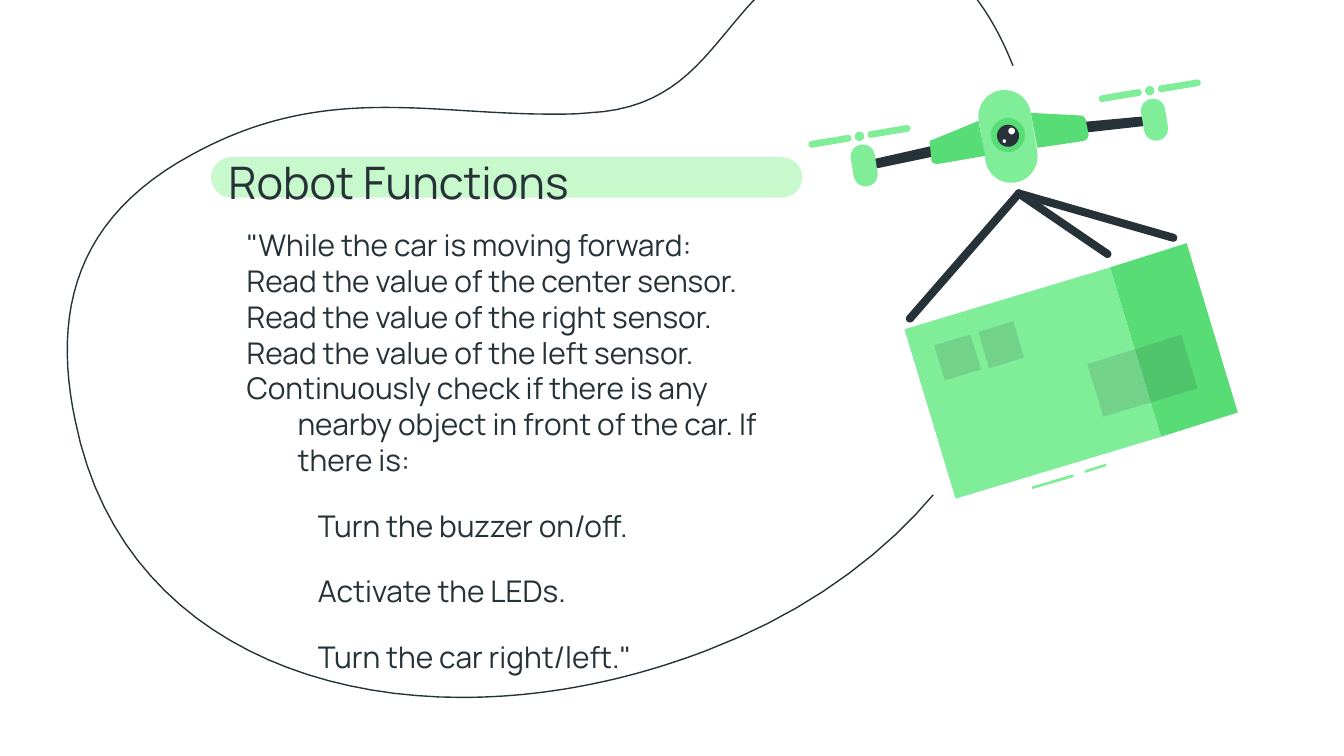
from dataclasses import dataclass
from math import atan2, degrees, hypot

from lxml import etree
from pptx import Presentation
from pptx import util as u
from pptx.dml.color import RGBColor
from pptx.enum import shapes, text
from pptx.oxml.ns import qn

CELL = u.Inches(0.1)
COLS, ROWS = 100, 56.25
STEPS = 24  # segments per curve
Point = tuple[float, float]


@dataclass(frozen=True)
class Theme:
    font: str = "Manrope"
    ink: str = "263238"
    shade: str = "1A2327"
    light: str = "80ED99"
    deep: str = "58DD76"
    pale: str = "C7F9CC"
    white: str = "FFFFFF"
    title: float = 24
    body: float = 16
    line: float = 19.2
    gap: float = 16
    stroke: float = 0.75


@dataclass(frozen=True)
class Bar:
    """Round-ended bar; its ends are the centres of the caps."""
    start: Point
    end: Point
    width: float
    color: str


@dataclass(frozen=True)
class Disc:
    center: Point
    radius: float
    color: str


@dataclass(frozen=True)
class Patch:
    """Outline of points (x, y) and curves (x1, y1, x2, y2, x, y)."""
    nodes: list[tuple[float, ...]]
    color: str
    alpha: int = 100


@dataclass(frozen=True)
class Line:
    words: str
    level: int = 0


T = Theme()

TRAIL = [
    (65.1, -4.4), (63.6, -4.4, 61.9, -4, 60.1, -3.1),
    (53.4, 0.4, 52.9, 8, 43.8, 8.4), (42.9, 8.5, 42, 8.5, 41.1, 8.5),
    (36.7, 8.5, 32.7, 8, 28.7, 8), (24, 8, 19.4, 8.7, 14.3, 11.5),
    (5.6, 16.2, 3.9, 23.2, 5.6, 31.3), (8.4, 45.3, 20.5, 51.9, 34.4, 51.9),
    (40.4, 51.9, 46.6, 50.7, 52.6, 48.4), (71.7, 41.1, 80.5, 24.2, 76.2, 7.4),
    (74.8, 2.3, 71.2, -4.4, 65.1, -4.4),
]
CRATE = [
    Patch([(79.8, 35.3), (76.8, 36.2), (76.8, 36.4), (79.9, 35.5)], T.light),
    Patch([(82.3, 34.5), (80.7, 35), (80.7, 35.2), (82.3, 34.7)], T.light),
    Patch([(82.6, 19.9), (67.3, 24.5), (71.1, 37.1), (86.4, 32.5)], T.light),
    Patch([(88.3, 18.1), (82.6, 19.9), (86.4, 32.5), (92.1, 30.7)], T.deep),
    Patch([(87.9, 24.9), (80.9, 27.1), (82.1, 31), (89.1, 28.9)], T.shade, 13),
    Patch([(72.2, 24.9), (69.5, 25.7), (70.3, 28.3), (73, 27.5)], T.shade, 13),
    Patch([(75.4, 23.9), (72.8, 24.7), (73.6, 27.4), (76.2, 26.6)], T.shade, 13),
]
HULL = [
    Bar((74.75, 8.65), (75.25, 11.65), 3.9, T.light),
    Disc((75, 10.05), 1.27, T.deep),
    Disc((75, 10.1), 0.82, T.ink),
    Disc((75.27, 9.75), 0.25, T.white),
    Disc((74.73, 10.5), 0.13, T.white),
]
ARMS = [
    Patch([(85.8, 8.6), (80.4, 9.1), (80.5, 9.9), (85.9, 9.3)], T.ink),
    Patch([(69.6, 10.8), (64.3, 12), (64.4, 12.7), (69.7, 11.6)], T.ink),
]
WINGS = [
    Patch([(76.7, 8.4), (77.2, 11), (80.6, 10.5), (80.9, 10.4, 81, 10.2, 81, 10),
           (80.8, 9), (80.8, 8.8, 80.6, 8.6, 80.4, 8.6)], T.deep),
    Patch([(72.8, 9), (69.4, 10.4), (69.2, 10.4, 69.1, 10.6, 69.2, 10.8),
           (69.3, 11.9), (69.3, 12.1, 69.5, 12.2, 69.8, 12.2), (73.3, 11.6)], T.deep),
]
HUBS = [(85.55, 6.75), (63.95, 10.15)]
HOOK = (75.8, 14.4)
TIES = [(87.3, 17.7), (82.4, 18.9), (67.7, 23.7)]
LINES = [
    Line('"While the car is moving forward:'),
    Line("Read the value of the center sensor."),
    Line("Read the value of the right sensor."),
    Line("Read the value of the left sensor."),
    Line("Continuously check if there is any nearby object in front of the car. If there is:"),
    Line("Turn the buzzer on/off.", 1),
    Line("Activate the LEDs.", 1),
    Line('Turn the car right/left."', 1),
]


def grid(*cells: float) -> list[int]:
    return [round(c * CELL) for c in cells]


def paint(shape, color: str, alpha: int = 100):
    shape.shadow.inherit = False
    shape.fill.solid()
    shape.fill.fore_color.rgb = RGBColor.from_string(color)
    shape.line.fill.background()
    if alpha < 100:
        tint = shape.element.spPr.find(".//" + qn("a:srgbClr"))
        etree.SubElement(tint, qn("a:alpha")).set("val", str(alpha * 1000))
    return shape


def trace(nodes: list[tuple[float, ...]]) -> list[Point]:
    """Turn points and cubic curves into a run of points."""
    dots = [nodes[0]]
    for node in nodes[1:]:
        if len(node) == 2:
            dots.append(node)
            continue
        ends = [dots[-1], node[:2], node[2:4], node[4:]]
        for step in range(1, STEPS + 1):
            t = step / STEPS
            share = ((1 - t) ** 3, 3 * t * (1 - t) ** 2, 3 * t * t * (1 - t), t ** 3)
            dots.append(tuple(sum(s * e[axis] for s, e in zip(share, ends))
                              for axis in (0, 1)))
    return dots


def outline(host, nodes: list[tuple[float, ...]]):
    first, *rest = [grid(*dot) for dot in trace(nodes)]
    pen = host.build_freeform(*first, scale=1.0)
    pen.add_line_segments(rest, close=True)
    return pen.convert_to_shape()


def draw(host, part: Bar | Disc | Patch) -> None:
    if isinstance(part, Patch):
        paint(outline(host, part.nodes), part.color, part.alpha)
    elif isinstance(part, Disc):
        (x, y), r = part.center, part.radius
        paint(host.add_shape(shapes.MSO_SHAPE.OVAL, *grid(x - r, y - r, 2 * r, 2 * r)),
              part.color)
    else:
        (x1, y1), (x2, y2), wide = part.start, part.end, part.width
        long = hypot(x2 - x1, y2 - y1) + wide
        box = grid((x1 + x2 - long) / 2, (y1 + y2 - wide) / 2, long, wide)
        bar = paint(host.add_shape(shapes.MSO_SHAPE.ROUNDED_RECTANGLE, *box), part.color)
        bar.adjustments[0] = 0.5
        bar.rotation = degrees(atan2(y2 - y1, x2 - x1))


def rotor(hub: Point) -> list[Bar | Disc]:
    x, y = hub
    blades = [Bar((x + s * 0.85, y - s * 0.14), (x + s * 3.55, y - s * 0.59), 0.5, T.light)
              for s in (-1, 1)]
    motor = Bar((x + 0.24, y + 1.5), (x + 0.46, y + 2.82), 1.8, T.light)
    return [motor, Disc(hub, 0.35, T.light), *blades]


def write(para, words: str, size: float) -> None:
    run = para.add_run()
    run.text = words
    run.font.name, run.font.size = T.font, u.Pt(size)
    run.font.color.rgb = RGBColor.from_string(T.ink)


def head(slide) -> None:
    title = slide.shapes.title
    title.left, title.top, title.width, title.height = grid(16, 10.5, 42.3, 7.9)
    frame = title.text_frame
    frame.auto_size = text.MSO_AUTO_SIZE.NONE
    frame.vertical_anchor = text.MSO_ANCHOR.TOP
    frame.margin_left = frame.margin_top = frame.margin_right = frame.margin_bottom = CELL
    frame.paragraphs[0].alignment = text.PP_ALIGN.LEFT
    write(frame.paragraphs[0], "Robot Functions", T.title)

    trail = outline(slide.shapes, TRAIL)
    trail.shadow.inherit = False
    trail.fill.background()
    trail.line.color.rgb = RGBColor.from_string(T.ink)
    trail.line.width = u.Pt(T.stroke)
    band = paint(slide.shapes.add_shape(
        shapes.MSO_SHAPE.ROUNDED_RECTANGLE, *grid(15.7, 11.7, 44, 3)), T.pale)
    band.adjustments[0] = 0.5
    for back in (trail, band):
        title.element.addprevious(back.element)


def body(slide) -> None:
    frame = slide.shapes.add_textbox(*grid(17.15, 8.8, 41.9, 44.5)).text_frame
    frame.word_wrap = True
    frame.margin_left = frame.margin_right = frame.margin_bottom = 0
    frame.margin_top = round(8.08 * CELL)
    for i, line in enumerate(LINES):
        para = frame.add_paragraph() if i else frame.paragraphs[0]
        para.level = line.level
        para.line_spacing = u.Pt(T.line)
        para.space_before = u.Pt(T.gap * line.level)
        left, hang = ((0.5, -0.38), (1, -0.35))[line.level]
        props = para._p.get_or_add_pPr()
        props.set("marL", str(u.Inches(left)))
        props.set("indent", str(u.Inches(hang)))
        write(para, line.words, T.body)


def main() -> None:
    deck = Presentation()
    deck.slide_width, deck.slide_height = grid(COLS, ROWS)
    slide = deck.slides.add_slide(deck.slide_layouts[5])
    head(slide)
    drone = slide.shapes.add_group_shape().shapes
    ropes = [Bar(HOOK, tie, 0.6, T.ink) for tie in TIES]
    rotors = [part for hub in HUBS for part in rotor(hub)]
    halo = Disc((78, 21.9), 17.2, T.white)
    for part in [halo, *CRATE, *HULL, *ARMS, *rotors, *WINGS, *ropes]:
        draw(drone, part)
    body(slide)
    deck.save("out.pptx")


if __name__ == "__main__":
    main()
